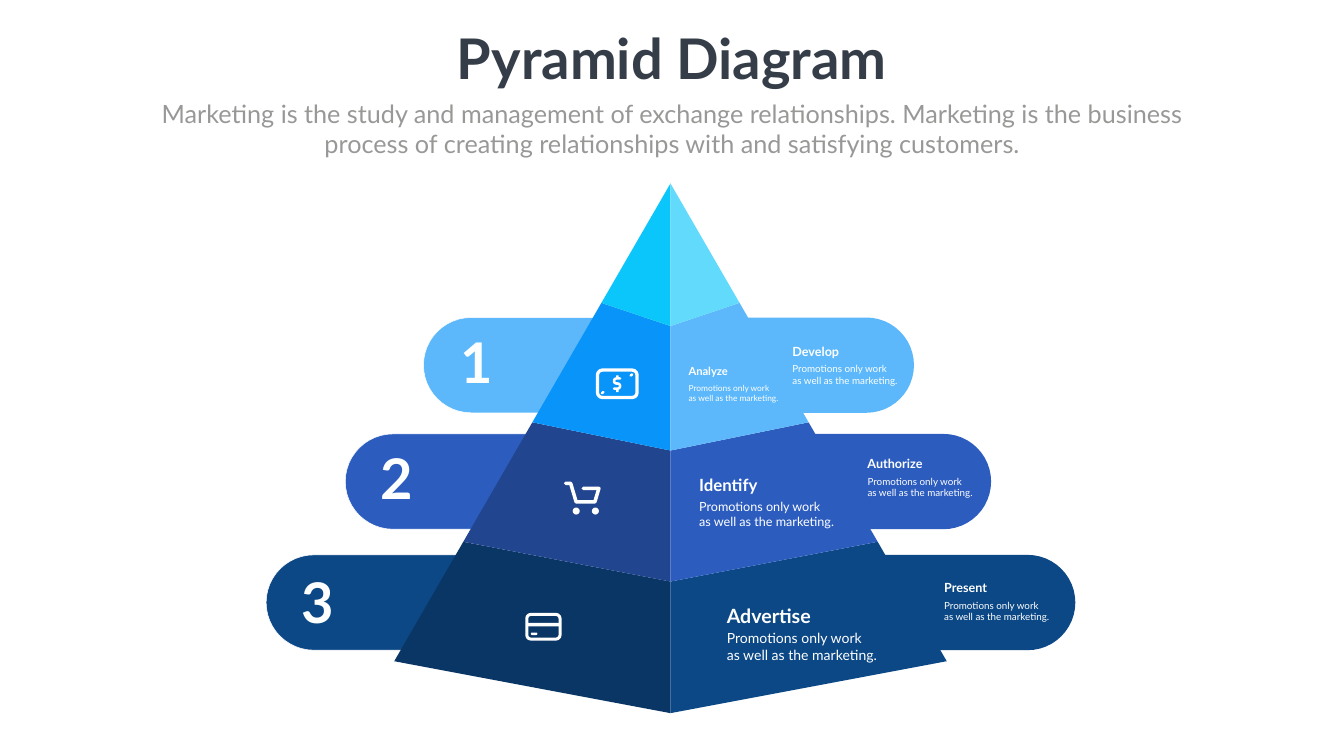
from math import cos, pi, sin

from lxml.etree import SubElement
from pptx import Presentation
from pptx.dml.color import RGBColor
from pptx.enum.shapes import MSO_SHAPE as SHAPE
from pptx.enum.text import MSO_AUTO_SIZE as FIT, PP_ALIGN as ALIGN
from pptx.oxml.ns import qn
from pptx.util import Inches, Pt

WHITE, TEXT_WHITE = "FFFFFF", "FEFFFF"
BLURB = "Promotions only work\nas well as the marketing."
# left face and right face, from the top tier down
FACES = [("0BC6FA", "61DAFC"), ("0894F9", "5CB8FB"),
         ("22458F", "2D5CBF"), ("093665", "0C4886")]
RIDGE = [0, 2.83, 5.3, 7.9, 10.51]  # depth of each tier's corner on the axis
# number, top, left tab (left, right), right tab (left, right), number's left
BANDS = [("1", 6.3, (8.4, 11.82), (14.76, 18.13), 9.03, 6.45),
         ("2", 8.61, (6.85, 10.52), (16.03, 19.66), 7.45, 8.76),
         ("3", 11.01, (5.28, 9.08), (17.44, 21.33), 5.88, 11.21)]
BAND_HEIGHT = 1.89
# heading, left, top, heading size, body size, body width, body offset
CAPTIONS = [("Advertise", 14.32, 11.93, 28, 20, 3.45, 0.52),
            ("Identify", 13.77, 9.37, 24, 18, 3.45, 0.47),
            ("Analyze", 13.56, 7.17, 16, 12, 2.05, 0.38),
            ("Develop", 15.62, 6.77, 18, 14, 2.55, 0.38),
            ("Authorize", 17.11, 9, 18, 14, 2.55, 0.38),
            ("Present", 18.63, 11.46, 18, 14, 2.55, 0.38)]


def rgb(value):
    return RGBColor.from_string(value)


def paint(shape, fill=None, line=None, weight=0.75):
    shape.shadow.inherit = False
    if fill:
        shape.fill.solid()
        shape.fill.fore_color.rgb = rgb(fill)
    else:
        shape.fill.background()
    if line:
        shape.line.color.rgb = rgb(line)
        shape.line.width = Pt(weight)
    else:
        shape.line.fill.background()


def outline(slide, points, closed=True):
    points = [(Inches(x), Inches(y)) for x, y in points]
    builder = slide.shapes.build_freeform(*points[0], scale=1.0)
    builder.add_line_segments(points[1:], close=closed)
    return builder.convert_to_shape()


def stroke(slide, points, width):
    """Draw an open white line with round ends; width is in inches."""
    shape = outline(slide, points, closed=False)
    paint(shape, line=WHITE, weight=width * 72)
    ln = shape.line._get_or_add_ln()
    ln.set("cap", "rnd")
    SubElement(ln, qn("a:round"))


def preset(slide, kind, left, top, width, height, **look):
    shape = slide.shapes.add_shape(
        kind, Inches(left), Inches(top), Inches(width), Inches(height))
    paint(shape, **look)
    return shape


def frame(slide, left, top, width, height, border, radius):
    """Draw a rounded ring whose outer edge fills the box."""
    width, height = width - border, height - border
    ring = preset(slide, SHAPE.ROUNDED_RECTANGLE, left + border / 2,
                  top + border / 2, width, height,
                  line=WHITE, weight=border * 72)
    ring.adjustments[0] = (radius - border / 2) / height


def arc(x, y, radius, start, end, steps=24):
    """Points on a circle between two angles, in degrees clockwise from east."""
    angles = [(start + (end - start) * i / steps) * pi / 180
              for i in range(steps + 1)]
    return [(x + radius * cos(a), y + radius * sin(a)) for a in angles]


def add_text(slide, text, left, top, width, size, color=TEXT_WHITE,
             bold=False, align=ALIGN.LEFT, wrap=True, lines=None):
    lines = lines or text.count("\n") + 1
    height = 0.1 + lines * size * 1.2 / 72
    box = slide.shapes.add_textbox(
        Inches(left), Inches(top), Inches(width), Inches(height))
    frame_text = box.text_frame
    frame_text.word_wrap = wrap
    frame_text.auto_size = FIT.SHAPE_TO_FIT_TEXT
    frame_text.text = text
    for paragraph in frame_text.paragraphs:
        paragraph.alignment = align
        font = paragraph.runs[0].font
        font.name, font.size, font.bold = "Lato", Pt(size), bold
        font.color.rgb = rgb(color)


def add_header(slide, left, top, width):
    add_text(slide, "Pyramid Diagram", left + 5.96, top, width - 11.92, 80,
             color="353E48", bold=True, align=ALIGN.CENTER, wrap=False)
    add_text(slide, "Marketing is the study and management of exchange "
             "relationships. Marketing is the business process of creating "
             "relationships with and satisfying customers.",
             left, top + 1.49, width, 36, color="989997",
             align=ALIGN.CENTER, lines=2)


def add_tab(slide, left, right, top, round_left, **look):
    """Draw a band that is round at its outer end and square at the other."""
    radius = BAND_HEIGHT / 2
    middle = top + radius
    if round_left:
        inner, curve = right, arc(left + radius, middle, radius, 90, 270)
    else:
        inner, curve = left, arc(right - radius, middle, radius, 90, -90)
    paint(outline(slide, [(inner, top + BAND_HEIGHT), *curve, (inner, top)]),
          **look)


def add_pyramid(slide, left, top, width, slope_height):
    axis = left + width / 2
    tiers = len(FACES)
    for tier in reversed(range(tiers)):
        for side, color in zip((-1, 1), FACES[tier]):
            upper, lower = [
                (axis + side * width / 2 * n / tiers,
                 top + slope_height * n / tiers) for n in (tier, tier + 1)]
            paint(outline(slide, [(axis, top + RIDGE[tier]), upper, lower,
                                  (axis, top + RIDGE[tier + 1])]), fill=color)


def add_banknote(slide, left, top):
    frame(slide, left, top, 0.85, 0.61, 0.065, 0.13)
    x, y = left + 0.42, top + 0.3
    stroke(slide, [(x + 0.06, y - 0.1), *arc(x - 0.01, y - 0.05, 0.05, 270, 90),
                   *arc(x + 0.01, y + 0.05, 0.05, -90, 90),
                   (x - 0.06, y + 0.1)], 0.05)
    for bar_top in (y - 0.16, y + 0.11):
        preset(slide, SHAPE.RECTANGLE, x - 0.02, bar_top, 0.05, 0.06, fill=WHITE)
    for dx, dy in ((0.69, 0.14), (0.12, 0.49)):
        stroke(slide, [(left + dx, top + dy),
                       (left + dx + 0.03, top + dy - 0.02)], 0.05)


def add_cart(slide, left, top):
    route = [(0.04, 0.03), (0.14, 0.03), (0.25, 0.4), (0.62, 0.4),
             (0.7, 0.13), (0.39, 0.13)]
    stroke(slide, [(left + x, top + y) for x, y in route], 0.07)
    for wheel in (0.18, 0.56):
        preset(slide, SHAPE.OVAL, left + wheel, top + 0.51, 0.14, 0.14,
               fill=WHITE)


def add_card(slide, left, top):
    frame(slide, left, top, 0.72, 0.55, 0.06, 0.11)
    preset(slide, SHAPE.RECTANGLE, left + 0.04, top + 0.2, 0.65, 0.07,
           fill=WHITE)
    dash = preset(slide, SHAPE.ROUNDED_RECTANGLE, left + 0.11, top + 0.39,
                  0.13, 0.05, fill=WHITE)
    dash.adjustments[0] = 0.5


def add_caption(slide, heading, left, top, heading_size, body_size, width,
                offset):
    add_text(slide, heading, left, top, width * 0.65, heading_size, bold=True)
    add_text(slide, BLURB, left, top + offset, width, body_size)


def main():
    deck = Presentation()
    deck.slide_width, deck.slide_height = Inches(26.66), Inches(15)
    slide = deck.slides.add_slide(deck.slide_layouts[6])

    for (_, top, left_tab, right_tab, *_), (_, color) in zip(BANDS, FACES[1:]):
        add_tab(slide, *left_tab, top, True, fill=color, line=WHITE)
        add_tab(slide, *right_tab, top, False, fill=color)
    add_pyramid(slide, 7.82, 3.64, 10.96, 9.48)
    add_cart(slide, 11.18, 9.56)
    add_banknote(slide, 11.82, 7.31)
    add_card(slide, 10.42, 12.16)
    for number, *_, left, top in BANDS:
        add_text(slide, number, left, top, 0.96, 80, bold=True)
    for caption in CAPTIONS:
        add_caption(slide, *caption)
    add_header(slide, 2.92, 0.41, 20.82)
    deck.save("out.pptx")


if __name__ == "__main__":
    main()
